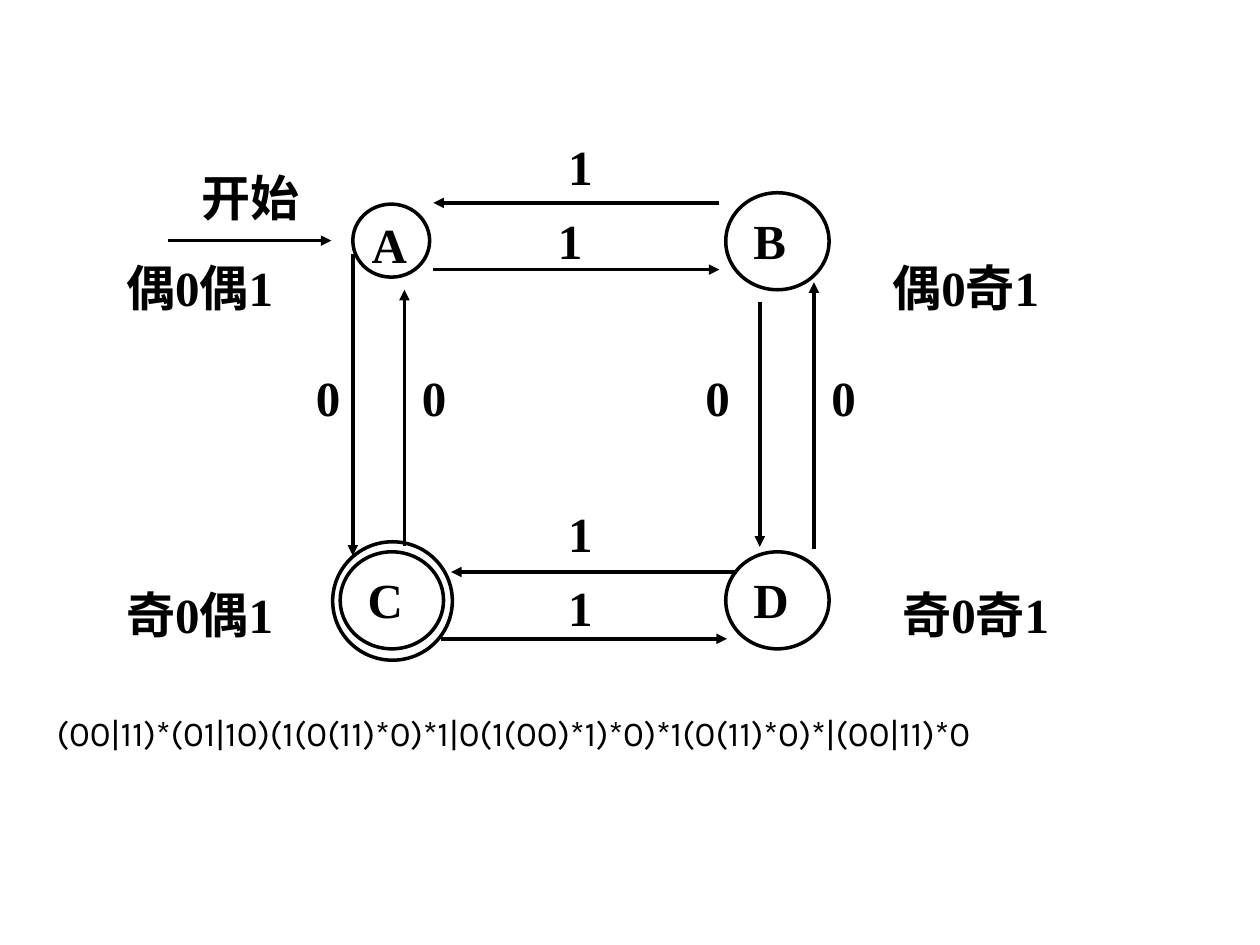
from pptx import Presentation
from pptx.dml.color import RGBColor
from pptx.enum.shapes import MSO_CONNECTOR as Connector, MSO_SHAPE as Shape
from pptx.enum.text import MSO_ANCHOR as Anchor, MSO_AUTO_SIZE as AutoSize, PP_ALIGN as Align
from pptx.oxml.ns import qn
from pptx.util import Inches, Pt
from lxml.etree import SubElement

COLORS = {"ink": "000000", "paper": "FFFFFF"}
COLUMNS, ROWS = 100, 75


def write_text(box, text, font="Times New Roman", size=28, bold=True, align=Align.JUSTIFY,
               anchor=Anchor.TOP, wrap=True, insets=(0.1, 0.01, 0.1, 0.05)):
    frame = box.text_frame
    frame.auto_size = AutoSize.NONE
    frame.word_wrap = wrap
    frame.vertical_anchor = anchor
    frame.margin_left, frame.margin_top, frame.margin_right, frame.margin_bottom = map(Inches, insets)
    para = frame.paragraphs[0]
    para.alignment = align
    span = para.add_run()
    span.text = text
    span.font.name = font
    span.font.size = Pt(size)
    span.font.bold = bold
    span.font.color.rgb = RGBColor.from_string(COLORS["ink"])


class Diagram:
    line_width = Pt(2)

    def __init__(self, deck):
        self.deck = deck
        self.page = deck.slides.add_slide(deck.slide_layouts[5])
        fill = self.page.background.fill
        fill.solid()
        fill.fore_color.rgb = RGBColor.from_string(COLORS["paper"])

    def grid(self, column, row):
        return round(self.deck.slide_width * column / COLUMNS), round(self.deck.slide_height * row / ROWS)

    def area(self, column, row, columns, rows):
        return *self.grid(column, row), *self.grid(columns, rows)

    def draw_line(self, line):
        line.color.rgb = RGBColor.from_string(COLORS["ink"])
        line.width = self.line_width

    def title(self, text, *place):
        box = self.page.shapes.title
        box.left, box.top, box.width, box.height = self.area(*place)
        write_text(box, text, font="Karla", size=20, bold=False, align=Align.LEFT,
                   anchor=Anchor.MIDDLE, insets=(0.1, 0.05, 0.1, 0.05))

    def state(self, name, *place, insets=(0.1, 0.03, 0.1, 0.05)):
        circle = self.page.shapes.add_shape(Shape.OVAL, *self.area(*place))
        circle.shadow.inherit = False
        circle.fill.background()
        self.draw_line(circle.line)
        if name:
            write_text(circle, name, insets=insets)

    def arrow(self, start, end):
        arrow = self.page.shapes.add_connector(Connector.STRAIGHT, *self.grid(*start), *self.grid(*end))
        self.draw_line(arrow.line)
        SubElement(arrow.line._get_or_add_ln(), qn("a:tailEnd"), type="triangle")
        SubElement(arrow._element.spPr, qn("a:effectLst"))

    def label(self, text, *place, **style):
        write_text(self.page.shapes.add_textbox(*self.area(*place)), text, **style)

    def parity(self, text, column, row):
        self.label(text, column, row, 16.7, 9.2, align=Align.CENTER, anchor=Anchor.MIDDLE,
                   wrap=False, insets=(0.06, 0.03, 0.06, 0.03))


def main():
    deck = Presentation()
    deck.slide_width, deck.slide_height = Inches(10), Inches(7.5)
    diagram = Diagram(deck)
    diagram.title("(00|11)*(01|10)(1(0(11)*0)*1|0(1(00)*1)*0)*1(0(11)*0)*|(00|11)*0",
                  3.5, 54.8, 90.6, 6.7)

    diagram.state("", 26.4, 43, 9.5, 9.4)
    for name, column, row in (("D", 57.6, 43.8), ("B", 57.6, 15.3), ("C", 27, 43.8)):
        diagram.state(name, column, row, 8.2, 7.7)
    diagram.state("A", 28, 16.2, 6.1, 5.8, insets=(0.06, 0, 0.04, 0))

    diagram.arrow((13.3, 19.1), (26.3, 19.1))
    for start, end, row in ((34.4, 57.1, 21.4), (57.1, 34.4, 16.1),
                            (58.5, 35.8, 45.4), (35, 57.7, 50.7)):
        diagram.arrow((start, row), (end, row))
    for column, start, end in ((28, 20.2, 44.1), (60.3, 24, 43.4),
                               (32.1, 43.3, 23), (64.6, 43.6, 22.4)):
        diagram.arrow((column, start), (column, end))

    for column, row in ((44.1, 10.7), (43.3, 16.6), (44.1, 39.9), (44.1, 45.7)):
        diagram.label("1", column, row, 6.5, 5.3)
    for column in (65, 55, 32.5, 24.1):
        diagram.label("0", column, 29.1, 9.7, 5.3)
    diagram.label("开始", 15, 13.2, 16.2, 5.3)
    for text, column, row in (("偶0偶1", 7.5, 18.2), ("奇0奇1", 69.1, 44.1),
                              ("奇0偶1", 7.5, 44.1), ("偶0奇1", 68.3, 18.2)):
        diagram.parity(text, column, row)

    deck.save("out.pptx")


if __name__ == "__main__":
    main()
